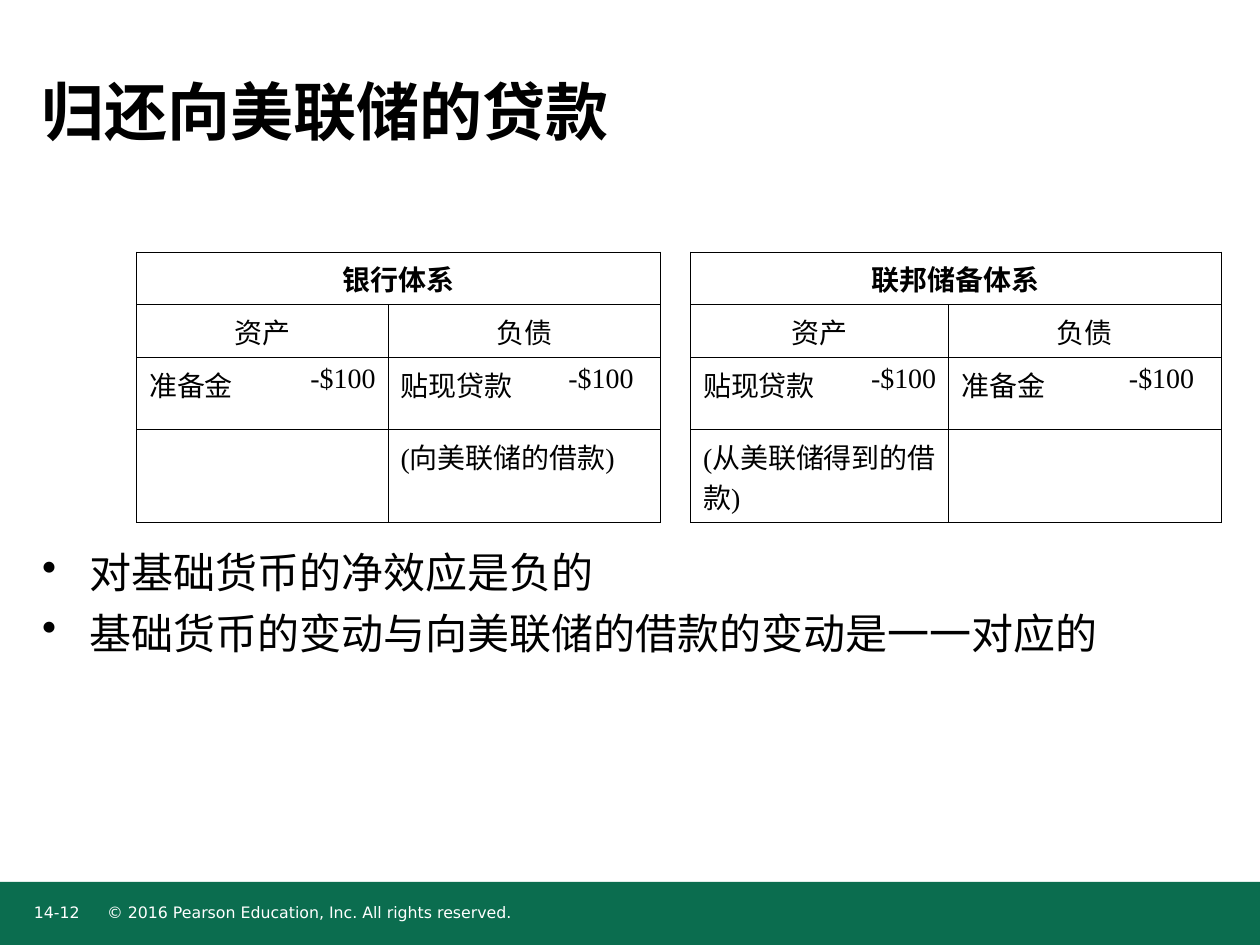
from lxml import etree
from pptx import Presentation
from pptx import util as u
from pptx.dml.color import RGBColor
from pptx.enum import shapes, text
from pptx.oxml import ns

COLORS = {"ink": "000000", "paper": "FFFFFF", "footer": "0B6D4F"}
SANS, SERIF = "DejaVu Sans", "Times New Roman"
LEFT, CENTER, RIGHT = text.PP_ALIGN.LEFT, text.PP_ALIGN.CENTER, text.PP_ALIGN.RIGHT


def add_element(parent, tag, **attributes):
    return etree.SubElement(parent, ns.qn(tag), attributes)


class SlideBuilder:
    def __init__(self, slide):
        self.slide = slide

    def add_words(self, paragraph, words, size, font=SANS, color="ink", bold=False, align=LEFT):
        paragraph.alignment = align
        run = paragraph.add_run()
        run.text = words
        run.font.name, run.font.size, run.font.bold = font, u.Pt(size), bold
        run.font.color.rgb = RGBColor.from_string(COLORS[color])

    def bar(self, left, top, width, height, color):
        shape = self.slide.shapes.add_shape(
            shapes.MSO_SHAPE.RECTANGLE, *map(u.Pt, (left, top, width, height)))
        shape.shadow.inherit = False
        shape.fill.solid()
        shape.fill.fore_color.rgb = RGBColor.from_string(COLORS[color])
        shape.line.fill.background()

    def text_box(self, box, lines, size, color="ink", bold=False,
                 anchor=text.MSO_ANCHOR.TOP, bullet_indent=0, gap=0):
        frame = self.slide.shapes.add_textbox(*map(u.Pt, box)).text_frame
        frame.word_wrap = True
        frame.vertical_anchor = anchor
        frame.margin_left = frame.margin_right = frame.margin_top = frame.margin_bottom = 0
        for index, line in enumerate(lines):
            paragraph = frame.add_paragraph() if index else frame.paragraphs[0]
            if index:
                paragraph.space_before = u.Pt(gap)
            if bullet_indent:
                properties = paragraph._p.get_or_add_pPr()
                properties.set("marL", str(u.Pt(bullet_indent)))
                properties.set("indent", str(-u.Pt(bullet_indent)))
                add_element(properties, "a:buChar", char="•")
            self.add_words(paragraph, line, size, color=color, bold=bold)

    def border(self, cell, sides, weight=0.5):
        """Rule the named sides (L, R, T, B) and clear the others."""
        properties = cell._tc.get_or_add_tcPr()
        for index, side in enumerate("LRTB"):
            line = etree.Element(ns.qn(f"a:ln{side}"), w=str(u.Pt(weight)))
            if side in sides:
                fill = add_element(line, "a:solidFill")
                add_element(fill, "a:srgbClr", val=COLORS["ink"])
            else:
                add_element(line, "a:noFill")
            properties.insert(index, line)

    def table(self, left, top, widths, heights, entries, side_starts):
        """Entries are (row, column, row span, column span, words, alignment)."""
        table = self.slide.shapes.add_table(
            len(heights), len(widths),
            *map(u.Pt, (left, top, sum(widths), sum(heights)))).table
        table.first_row = table.horz_banding = False
        for column, width in zip(table.columns, widths):
            column.width = u.Pt(width)
        for row, height in zip(table.rows, heights):
            row.height = u.Pt(height)
        for row, column, row_span, column_span, words, align in entries:
            cell = table.cell(row, column)
            if row_span * column_span > 1:
                cell.merge(table.cell(row + row_span - 1, column + column_span - 1))
            if words:
                self.add_words(cell.text_frame.paragraphs[0], words, 16, SERIF,
                               bold=row == 0, align=align)
        for row in range(len(heights)):
            for column in range(len(widths)):
                cell = table.cell(row, column)
                cell.fill.background()
                starts = [start for start in side_starts if start <= column < start + 4]
                if not starts:
                    self.border(cell, "LR")
                    continue
                offset = column - starts[0]
                sides = "TB"
                if offset == 0 or (offset == 2 and row):
                    sides += "L"
                if cell.is_merge_origin or offset == 3 or (offset == 1 and row):
                    sides += "R"
                self.border(cell, sides)


def account_entries(start, name, asset, liability, notes):
    """Table entries of one T-account, four columns wide from start."""
    entries = [(0, start, 1, 4, name, CENTER)]
    sides = (("资产", asset, RIGHT), ("负债", liability, LEFT))
    for index, ((heading, item, align), note) in enumerate(zip(sides, notes)):
        column = start + 2 * index
        entries += [(1, column, 1, 2, heading, CENTER),
                    (2, column, 1, 1, item, LEFT),
                    (2, column + 1, 1, 1, "-$100", align),
                    (3, column, 1, 2 if note else 1, note, LEFT)]
    return entries


def main():
    presentation = Presentation()
    presentation.slide_width, presentation.slide_height = u.Pt(720), u.Pt(540)
    builder = SlideBuilder(presentation.slides.add_slide(presentation.slide_layouts[6]))

    builder.bar(0, 504, 720, 36, "footer")
    builder.text_box((61.2, 516, 425, 14.4),
                     ["© 2016 Pearson Education, Inc. All rights reserved."], 9, "paper")
    builder.text_box((19.4, 516, 28, 14.4), ["14-12"], 9, "paper")
    builder.text_box((24, 24, 612, 78.5), ["归还向美联储的贷款"], 36, bold=True,
                     anchor=text.MSO_ANCHOR.MIDDLE)
    builder.text_box((24, 312.5, 672, 173.5),
                     ["对基础货币的净效应是负的",
                      "基础货币的变动与向美联储的借款的变动是一一对应的"],
                     24, bullet_indent=27, gap=6)

    amount, liability, gutter = 59.8, 95.8, 17.2
    widths = [84, amount, liability, amount, gutter, 87.8, amount, liability, amount]
    entries = account_entries(0, "银行体系", "准备金", "贴现贷款", ("", "(向美联储的借款)"))
    entries += account_entries(5, "联邦储备体系", "贴现贷款", "准备金",
                               ("(从美联储得到的借款)", ""))
    entries.append((0, 4, 3, 1, "", LEFT))
    builder.table(78, 144, widths, [30.2, 30.2, 41, 53.3], entries, side_starts=(0, 5))

    presentation.save("out.pptx")


if __name__ == "__main__":
    main()
